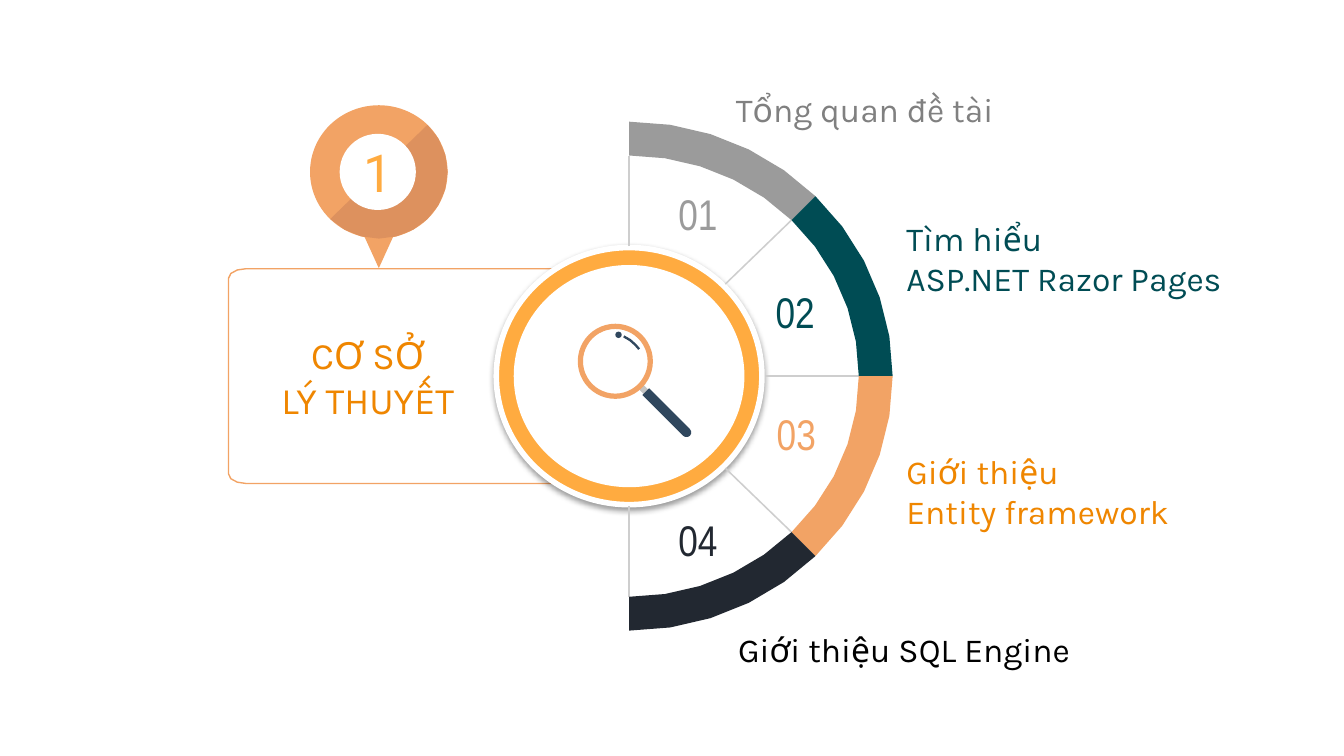
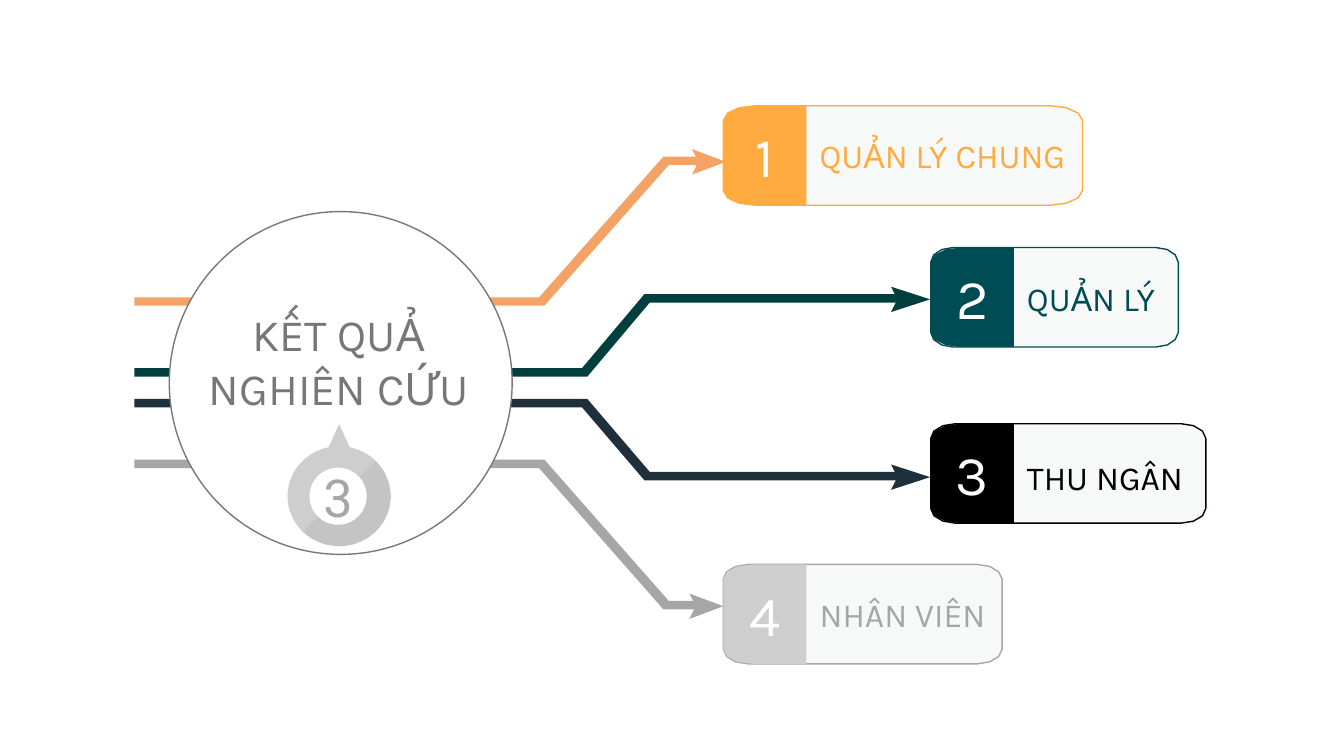
from dataclasses import dataclass
from math import cos, radians, sin

from lxml.etree import SubElement as add_node
from pptx import Presentation
from pptx.dml.color import RGBColor as Rgb
from pptx.enum.shapes import MSO_CONNECTOR as Link, MSO_SHAPE as Kind
from pptx.enum.text import MSO_ANCHOR as Anchor, MSO_AUTO_SIZE as Fit, PP_ALIGN as Align
from pptx.oxml.ns import qn
from pptx.shapes.autoshape import Shape
from pptx.slide import Slide
from pptx.util import Cm, Pt

WHITE = Rgb(0xFF, 0xFF, 0xFF)
BLACK = Rgb(0, 0, 0)
AMBER = Rgb(0xFF, 0xAB, 0x40)
ORANGE = Rgb(0xEF, 0x86, 0x00)
PEACH = Rgb(0xF2, 0xA3, 0x65)
CLAY = Rgb(0xDD, 0x91, 0x5E)
TEAL = Rgb(0x00, 0x4C, 0x54)
PINE = Rgb(0x00, 0x3F, 0x3E)
NIGHT = Rgb(0x22, 0x28, 0x31)
NAVY = Rgb(0x1F, 0x30, 0x3D)
STEEL = Rgb(0x30, 0x47, 0x5E)
STONE = Rgb(0x9B, 0x9B, 0x9B)
GREY = Rgb(0x80, 0x80, 0x80)
SLATE = Rgb(0x77, 0x77, 0x77)
ASH = Rgb(0xA6, 0xA6, 0xA6)
SILVER = Rgb(0xCE, 0xCE, 0xCE)
DUSK = Rgb(0xC4, 0xC4, 0xC4)
PALE = Rgb(0xF7, 0xF9, 0xF9)

KARLA = "Karla"
NARROW = "Arial Narrow"
ROBOTO = "Roboto"

Point = tuple[float, float]


@dataclass(frozen=True)
class Topic:
    label: str
    band: Rgb
    ink: Rgb
    num_at: Point
    label_at: Point


@dataclass(frozen=True)
class Track:
    ink: Rgb
    bend: Point
    rise: Point
    end: float
    barb: Point


@dataclass(frozen=True)
class Branch:
    label: str
    at: Point
    width: float
    text_top: float
    span: float
    tile: Rgb
    ink: Rgb
    track: Track


TOPICS = [
    Topic("Tổng quan đề tài", STONE, GREY, (12.57, 3.53), (13.66, 1.43)),
    Topic("Tìm hiểu\nASP.NET Razor Pages", TEAL, TEAL, (14.41, 5.38), (16.88, 3.87)),
    Topic("Giới thiệu\nEntity framework", PEACH, ORANGE, (14.43, 7.7), (16.88, 8.27)),
    Topic("Giới thiệu SQL Engine", NIGHT, BLACK, (12.57, 9.7), (13.7, 11.63)),
]

BRANCHES = [
    Branch("QUẢN LÝ CHUNG", (13.67, 2), 6.79, 2.43, 5.23, AMBER, AMBER,
           Track(PEACH, (10.24, 12.59), (5.7, 3.04), 13.21, (13.08, 13.72))),
    Branch("QUẢN LÝ", (17.59, 4.68), 4.68, 5.14, 4.52, TEAL, TEAL,
           Track(PINE, (11.05, 12.23), (7.04, 5.64), 17.22, (16.84, 17.58))),
    Branch("THU NGÂN", (17.59, 8.01), 5.2, 8.52, 3.63, BLACK, BLACK,
           Track(NAVY, (11.05, 12.23), (7.62, 9), 17.22, (16.84, 17.58))),
    Branch("NHÂN VIÊN", (13.67, 10.67), 5.27, 11.11, 3.68, SILVER, ASH,
           Track(ASH, (10.24, 12.59), (8.77, 11.44), 13.21, (13.03, 13.67))),
]


def paint(shape: Shape, fill: Rgb | None, line: Rgb | None = None, width: float = 0.75) -> Shape:
    shape.shadow.inherit = False
    if fill is None:
        shape.fill.background()
    else:
        shape.fill.solid()
        shape.fill.fore_color.rgb = fill
    if line is None:
        shape.line.fill.background()
    else:
        shape.line.color.rgb = line
        shape.line.width = Pt(width)
    return shape


def write(shape: Shape, text: str, font: str, size: int, ink: Rgb,
          align: Align = Align.LEFT, anchor: Anchor = Anchor.MIDDLE, inset: float = 0.25) -> None:
    frame = shape.text_frame
    frame.text = text
    frame.word_wrap = True
    frame.auto_size = Fit.NONE
    frame.vertical_anchor = anchor
    frame.margin_left = frame.margin_right = Cm(inset)
    frame.margin_top = frame.margin_bottom = Cm(inset)
    for para in frame.paragraphs:
        para.alignment = align
        for run in para.runs:
            run.font.name = font
            run.font.size = Pt(size)
            run.font.bold = False
            run.font.color.rgb = ink


def label(slide: Slide, at: Point, size: Point, text: str, font: str, points: int,
          ink: Rgb, anchor: Anchor = Anchor.MIDDLE) -> None:
    box = slide.shapes.add_textbox(Cm(at[0]), Cm(at[1]), Cm(size[0]), Cm(size[1]))
    write(box, text, font, points, ink, anchor=anchor)


def head(slide: Slide, at: Point, size: Point, text: str, points: int, ink: Rgb) -> None:
    title = slide.shapes.title
    title.left, title.top = Cm(at[0]), Cm(at[1])
    title.width, title.height = Cm(size[0]), Cm(size[1])
    write(title, text, KARLA, points, ink, Align.CENTER)
    slide.shapes.element.append(title.element)


def form(slide: Slide, kind: Kind, mid: Point, rx: float, ry: float, fill: Rgb) -> Shape:
    shape = slide.shapes.add_shape(
        kind, Cm(mid[0] - rx), Cm(mid[1] - ry), Cm(2 * rx), Cm(2 * ry))
    return paint(shape, fill)


def trace(slide: Slide, points: list[Point], fill: Rgb | None, line: Rgb | None = None,
          width: float = 0.75, close: bool = True) -> Shape:
    spots = [(Cm(x), Cm(y)) for x, y in points]
    pen = slide.shapes.build_freeform(*spots[0])
    pen.add_line_segments(spots[1:], close=close)
    return paint(pen.convert_to_shape(), fill, line, width)


def polar(mid: Point, rx: float, ry: float, angle: float) -> Point:
    turn = radians(angle)
    return mid[0] + rx * cos(turn), mid[1] + ry * sin(turn)


def curve(mid: Point, rx: float, ry: float, start: int, stop: int, parts: int) -> list[Point]:
    step = (stop - start) / parts
    return [polar(mid, rx, ry, start + step * i) for i in range(parts + 1)]


def card(slide: Slide, at: Point, size: Point, rx: float, ry: float, fill: Rgb | None,
         line: Rgb | None = None, flat: bool = False) -> Shape:
    left, top = at
    right, base = left + size[0], top + size[1]
    points = curve((left + rx, base - ry), rx, ry, 90, 180, 3)
    points += curve((left + rx, top + ry), rx, ry, 180, 270, 3)
    if flat:
        points += [(right, top), (right, base)]
    else:
        points += curve((right - rx, top + ry), rx, ry, 270, 360, 3)
        points += curve((right - rx, base - ry), rx, ry, 0, 90, 3)
    return trace(slide, points, fill, line, 0.75)


def pin(slide: Slide, mid: Point, scale: float, way: int, text: str,
        light: Rgb, dark: Rgb, ink: Rgb) -> None:
    x, y = mid
    rx, ry, hole = 1.3 * scale, 1.26 * scale, 0.72 * scale
    half, base, tip = 0.36 * scale, 1.03 * scale * way, 1.82 * scale * way
    trace(slide, [(x - half, y + base), (x, y + tip), (x + half, y + base)], light)
    form(slide, Kind.OVAL, mid, rx, ry, light)
    trace(slide, curve(mid, rx, ry, -45, 135, 12), dark)
    eye = form(slide, Kind.OVAL, (x - 0.02, y), hole, hole, WHITE)
    write(eye, text, ROBOTO, 28, ink, Align.CENTER, inset=0)


def shade(shape: Shape) -> None:
    glow = shape.element.spPr.find(qn("a:effectLst"))
    drop = add_node(glow, qn("a:outerShdw"), blurRad=str(Pt(3.1)), dist=str(Pt(1.6)),
                    dir="5400000", algn="ctr", rotWithShape="0")
    tone = add_node(drop, qn("a:srgbClr"), val="000000")
    add_node(tone, qn("a:alpha"), val="38000")


def spoke(slide: Slide, start: Point, stop: Point) -> None:
    line = slide.shapes.add_connector(
        Link.STRAIGHT, Cm(start[0]), Cm(start[1]), Cm(stop[0]), Cm(stop[1]))
    line.line.color.rgb = SILVER
    line.line.width = Pt(0.81)
    add_node(line.element.spPr, qn("a:effectLst"))


def lens(slide: Slide) -> None:
    neck = form(slide, Kind.RECTANGLE, (12.18, 7.38), 0.11, 0.06, DUSK)
    grip = form(slide, Kind.ROUND_2_SAME_RECTANGLE, (12.62, 7.82), 0.09, 0.59, STEEL)
    grip.adjustments[0] = 0.5
    neck.rotation, grip.rotation = 45, 135
    form(slide, Kind.OVAL, (11.69, 6.33), 0.06, 0.06, STEEL)
    glint = [(11.79, 6.36), (11.91, 6.43), (12.01, 6.52), (12.08, 6.6)]
    trace(slide, glint, None, STEEL, 1.25, close=False)
    ring = form(slide, Kind.DONUT, (11.63, 6.83), 0.71, 0.71, PEACH)
    ring.adjustments[0] = 0.07


def theory(slide: Slide) -> None:
    hub = (11.89, 7.11)
    card(slide, (4.32, 5.08), (6.55, 4.06), 0.33, 0.18, None, PEACH)
    disc = form(slide, Kind.OVAL, hub, 2.51, 2.43, AMBER)
    paint(disc, AMBER, WHITE, 3)
    shade(disc)
    form(slide, Kind.OVAL, hub, 2.18, 2.1, WHITE)
    for angle in range(-90, 91, 45):
        spoke(slide, polar(hub, 2.57, 2.46, angle), polar(hub, 4.34, 4.17, angle))
    for index, topic in enumerate(TOPICS):
        start = 45 * index - 90
        outer = curve(hub, 4.98, 4.81, start, start + 45, 5)
        inner = curve(hub, 4.34, 4.17, start + 45, start, 5)
        trace(slide, outer + inner, topic.band)
        label(slide, topic.num_at, (6.7, 1), f"{index + 1:02}", NARROW, 23, topic.band)
        label(slide, topic.label_at, (7.67, 1.27), topic.label, KARLA, 18, topic.ink, Anchor.TOP)
    pin(slide, (7.16, 3.25), 1, 1, "1", PEACH, CLAY, AMBER)
    lens(slide)
    head(slide, (4.32, 5.1), (5.26, 4.06), "CƠ SỞ\nLÝ THUYẾT", 20, ORANGE)


def flow(slide: Slide, track: Track) -> None:
    (first, last), (start, stop) = track.bend, track.rise
    side = 1 if stop > start else -1

    def edge(sign: int) -> list[Point]:
        slip, lift = 0.05 * sign, -0.08 * sign * side
        path = [(2.54, start), (first + slip, start), (last + slip, stop), (track.end, stop)]
        return [(x, y + lift) for x, y in path]

    trace(slide, edge(-1) + edge(1)[::-1], track.ink)
    tail, tip = track.barb
    mid = stop + 0.02
    trace(slide, [(tail, mid - 0.24), (tail + 0.12, mid), (tail, mid + 0.24), (tip, mid)],
          track.ink)


def results(slide: Slide) -> None:
    high, wide = 1.88, 1.57
    for index, row in enumerate(BRANCHES, 1):
        card(slide, row.at, (row.width, high), 0.09 * row.width, 0.28, PALE, row.ink)
        tile = card(slide, row.at, (wide, high), 0.55, 0.28, row.tile, flat=True)
        write(tile, str(index), KARLA, 30, WHITE, Align.CENTER)
        label(slide, (row.at[0] + wide, row.text_top), (row.span, 1),
              row.label, KARLA, 18, row.ink)
        flow(slide, row.track)
    hub = form(slide, Kind.OVAL, (6.44, 7.24), 3.24, 3.24, WHITE)
    paint(hub, WHITE, SLATE)
    pin(slide, (6.41, 9.38), 0.75, -1, "3", SILVER, DUSK, ASH)
    head(slide, (3.16, 5.4), (6.48, 2.84), "KẾT QUẢ NGHIÊN CỨU", 24, SLATE)


def main() -> None:
    deck = Presentation()
    deck.slide_width, deck.slide_height = Cm(25.4), Cm(14.29)
    for draw in (theory, results):
        draw(deck.slides.add_slide(deck.slide_layouts[5]))
    deck.save("out.pptx")


if __name__ == "__main__":
    main()
